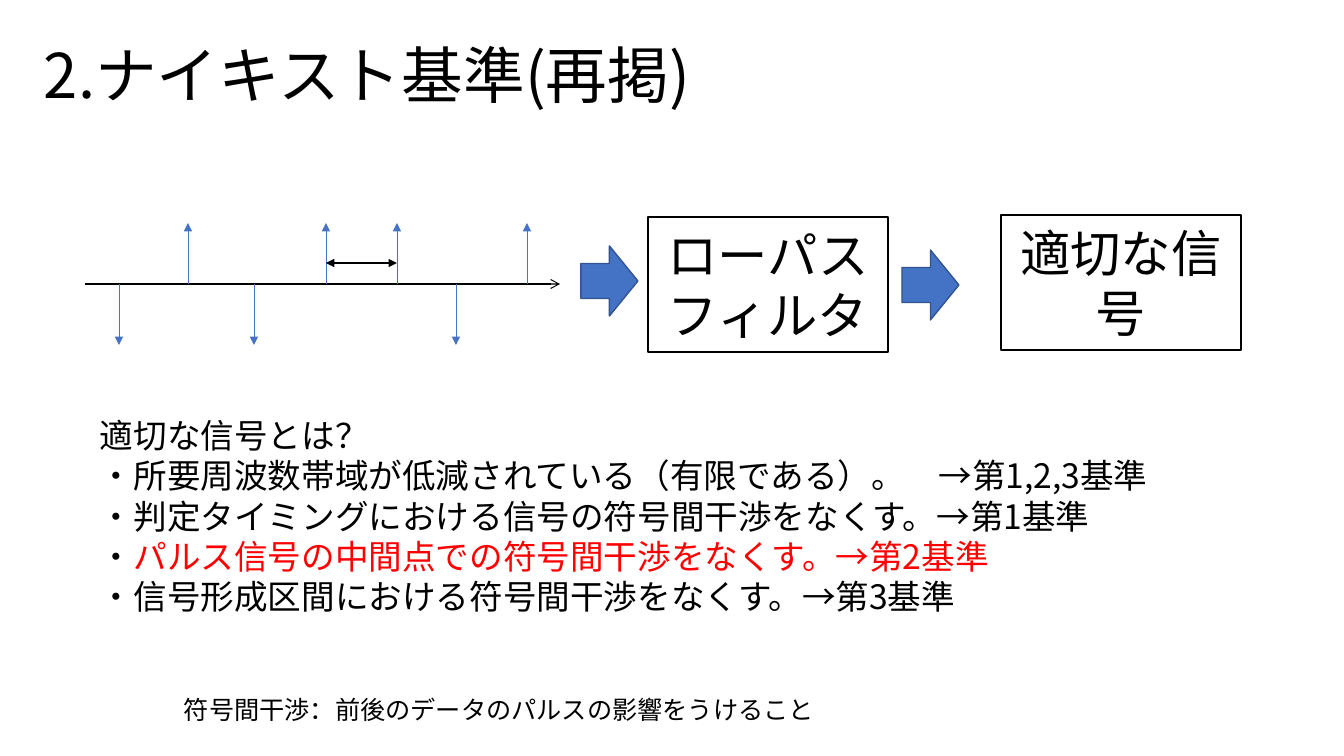
from lxml.etree import SubElement
from pptx import Presentation
from pptx.dml.color import RGBColor
from pptx.enum.shapes import MSO_CONNECTOR, MSO_SHAPE
from pptx.enum.text import MSO_ANCHOR, PP_ALIGN
from pptx.oxml.ns import qn
from pptx.util import Pt

# Each paragraph is a list of (text, colour) runs.
TITLE = [[("2.ナイキスト基準(再掲)", "ink")]]
BODY = [
    [("適切な信号とは？", "ink")],
    [("・所要周波数帯域が低減されている（有限である）。　→第1,2,3基準", "ink")],
    [("・判定タイミングにおける信号の符号間干渉をなくす。→第1基準", "ink")],
    [("・", "ink"), ("パルス信号の中間点での符号間干渉をなくす。→第2基準", "alert")],
    [("・信号形成区間における符号間干渉をなくす。→第3基準", "ink")],
]
NOTE = [[("符号間干渉：前後のデータのパルスの影響をうけること", "ink")]]
STAGES = [("ローパスフィルタ", (648, 217)), ("適切な信号", (1001, 215))]
ARROWS = [(581, 246), (902, 250)]
PULSES = [(119, 1), (188, -1), (254, 1), (326, -1), (397, -1), (456, 1), (527, -1)]

# Lengths in px
PAGE = (1344, 756)
STAGE, ARROW = (240, 135), (57, 70)
AXIS, BASE, PULSE = (85, 560), 284, 61
GAP, GAP_Y = (326, 397), 263

THEME = {
    "font": "Noto Sans CJK JP",
    "ink": RGBColor(0, 0, 0),
    "alert": RGBColor(0xFF, 0, 0),
    "blue": RGBColor(0x44, 0x72, 0xC4),
    "edge": RGBColor(0x32, 0x54, 0x91),
    "paper": RGBColor(0xFF, 0xFF, 0xFF),
    "title": Pt(44), "stage": Pt(36), "body": Pt(24), "note": Pt(18),
}


def emu(*px):
    return [round(n * 914400 / 100.8) for n in px]


def apply(item, **values):
    for name, value in values.items():
        setattr(item, name, value)


def write(frame, paras, size, anchor=MSO_ANCHOR.TOP, **form):
    apply(frame, word_wrap=True, vertical_anchor=anchor)
    for i, runs in enumerate(paras):
        para = frame.paragraphs[0] if i == 0 else frame.add_paragraph()
        apply(para, **form)
        for text, tint in runs:
            run = para.add_run()
            run.text = text
            apply(run.font, name=THEME["font"], size=THEME[size])
            run.font.color.rgb = THEME[tint]
            east = SubElement(run.font._element, qn("a:ea"))
            east.set("typeface", THEME["font"])


def label(slide, box, paras, size, **form):
    write(slide.shapes.add_textbox(*emu(*box)).text_frame, paras, size, **form)


def block(slide, kind, spot, size, fill, edge):
    shape = slide.shapes.add_shape(kind, *emu(*spot, *size))
    shape.shadow.inherit = False
    shape.fill.solid()
    shape.fill.fore_color.rgb = THEME[fill]
    shape.line.color.rgb = THEME[edge]
    shape.line.width = Pt(1)
    return shape


def line(slide, ends, tint, width, **tips):
    """Draw a line; tips maps headEnd and tailEnd to arrowhead types."""
    link = slide.shapes.add_connector(MSO_CONNECTOR.STRAIGHT, *emu(*ends))
    link.line.color.rgb = THEME[tint]
    link.line.width = Pt(width)
    for end, kind in tips.items():
        SubElement(link.line._get_or_add_ln(), qn(f"a:{end}")).set("type", kind)
    SubElement(link._element.spPr, qn("a:effectLst"))


def main():
    deck = Presentation()
    wide, high = emu(*PAGE)
    apply(deck, slide_width=wide, slide_height=high)
    slide = deck.slides.add_slide(deck.slide_layouts[6])

    label(slide, (34, 6, 1159, 146), TITLE, "title",
          anchor=MSO_ANCHOR.MIDDLE, line_spacing=0.9)

    line(slide, (AXIS[0], BASE, AXIS[1], BASE), "ink", 0.75, tailEnd="arrow")
    for x, way in PULSES:
        line(slide, (x, BASE, x, BASE + way * PULSE), "blue", 0.5, tailEnd="triangle")
    line(slide, (GAP[0], GAP_Y, GAP[1], GAP_Y), "ink", 1,
         headEnd="triangle", tailEnd="triangle")

    for spot in ARROWS:
        block(slide, MSO_SHAPE.RIGHT_ARROW, spot, ARROW, "blue", "edge")
    for text, spot in STAGES:
        stage = block(slide, MSO_SHAPE.RECTANGLE, spot, STAGE, "paper", "ink")
        write(stage.text_frame, [[(text, "ink")]], "stage",
              anchor=MSO_ANCHOR.MIDDLE, alignment=PP_ALIGN.CENTER)

    label(slide, (90, 410, 1103, 214), BODY, "body")
    label(slide, (174, 689, 869, 40), NOTE, "note")
    deck.save("out.pptx")


if __name__ == "__main__":
    main()
